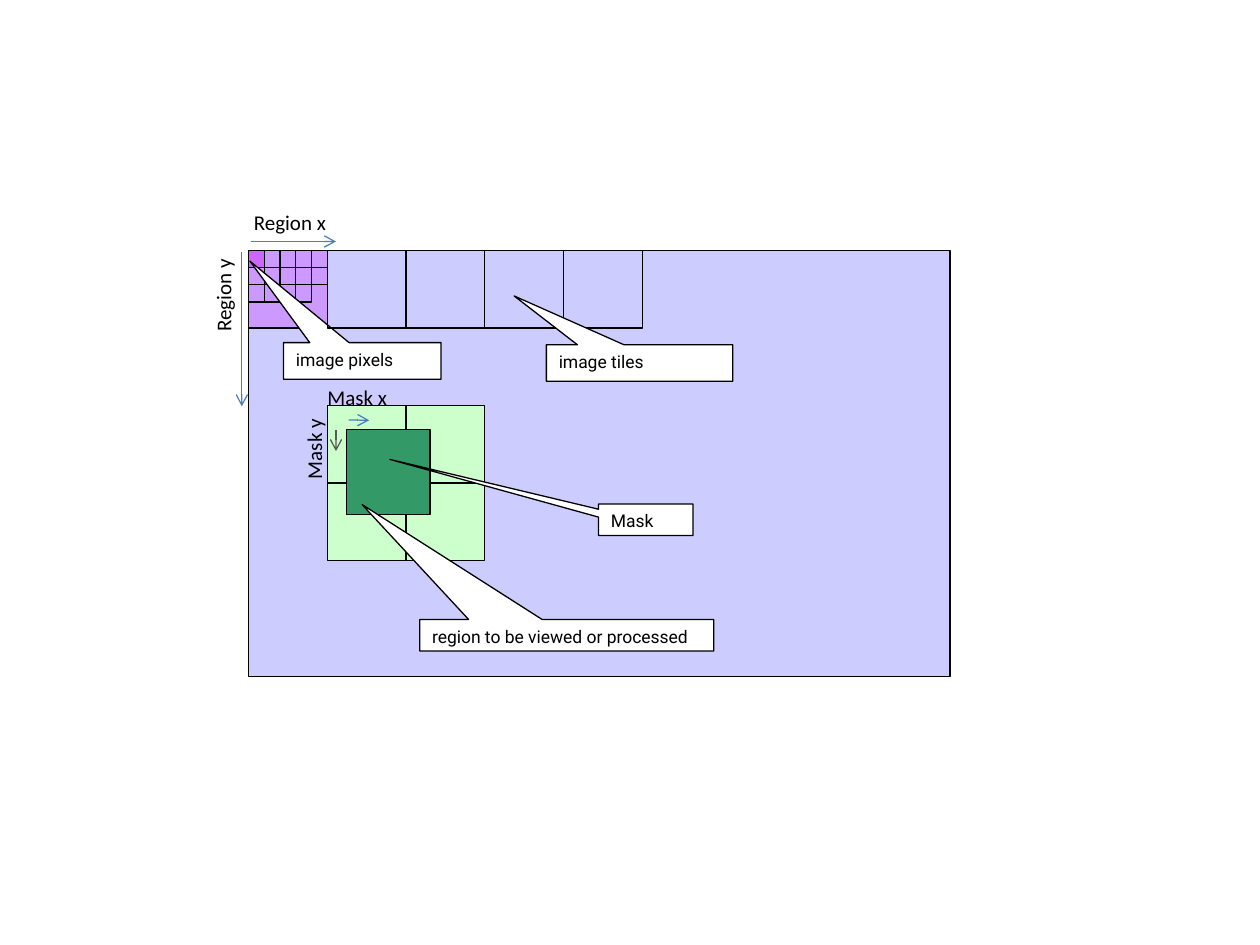
from lxml.etree import SubElement
from pptx import Presentation
from pptx.dml.color import RGBColor
from pptx.enum.shapes import MSO_CONNECTOR as Connector, MSO_SHAPE as Shape
from pptx.enum.text import MSO_ANCHOR as Anchor, MSO_AUTO_SIZE as AutoSize, PP_ALIGN as Align
from pptx.oxml.ns import qn
from pptx.util import Pt

COLORS = {
    "ink": "000000",
    "paper": "FFFFFF",
    "image": "CCCCFF",
    "first_tile": "CC99FF",
    "first_pixel": "CC66FF",
    "region_tile": "CCFFCC",
    "mask": "339966",
    "blue_arrow": "4B7EBC",
    "gray_arrow": "595959",
}
LINE_WIDTH = 0.75

# Image origin and the two grid units, in points
LEFT, TOP = 142, 143.2
TILE_W, TILE_H = 45, 44.2
PIXEL_W, PIXEL_H = 9, 9.8
REGION_TOP = 231.8


def color(name):
    return RGBColor.from_string(COLORS[name])


def add_block(shapes, x, y, width, height, fill=None, kind=Shape.RECTANGLE):
    """Outlined shape, hollow unless a fill is named."""
    block = shapes.add_shape(kind, Pt(x), Pt(y), Pt(width), Pt(height))
    block.shadow.inherit = False
    if fill:
        block.fill.solid()
        block.fill.fore_color.rgb = color(fill)
    else:
        block.fill.background()
    block.line.color.rgb = color("ink")
    block.line.width = Pt(LINE_WIDTH)
    return block


def write(frame, text, font_name, size):
    paragraph = frame.paragraphs[0]
    paragraph.text = text
    paragraph.alignment = Align.LEFT
    paragraph.font.name = font_name
    paragraph.font.size = Pt(size)
    paragraph.font.color.rgb = color("ink")


def add_callout(shapes, text, x, y, width, height, tip):
    """Speech box; tip is its offset from the centre, in box sizes."""
    callout = add_block(shapes, x, y, width, height, "paper",
                        Shape.RECTANGULAR_CALLOUT)
    callout.adjustments[0], callout.adjustments[1] = tip
    callout.text_frame.word_wrap = True
    callout.text_frame.vertical_anchor = Anchor.TOP
    write(callout.text_frame, text, "Roboto", 10)


def add_arrow(shapes, start, end, line_color):
    arrow = shapes.add_connector(Connector.STRAIGHT, *map(Pt, start + end))
    arrow.line.color.rgb = color(line_color)
    arrow.line.width = Pt(LINE_WIDTH)
    properties = arrow.line._get_or_add_ln()
    SubElement(properties, qn("a:tailEnd"), type="arrow")
    SubElement(arrow._element.spPr, qn("a:effectLst"))


def add_axis_label(shapes, text, x, y, width, rotation=0):
    label = shapes.add_textbox(Pt(x), Pt(y), Pt(width), Pt(21.6))
    label.rotation = rotation
    label.text_frame.word_wrap = True
    label.text_frame.auto_size = AutoSize.SHAPE_TO_FIT_TEXT
    write(label.text_frame, text, "Calibri", 12)


def draw_image(shapes):
    add_block(shapes, LEFT, TOP, 401, 243.4, "image")

    # First tile with its pixels; the last row is one pixel short
    add_block(shapes, LEFT, TOP, TILE_W, TILE_H, "first_tile")
    for row, pixel_count in enumerate((5, 5, 4)):
        for column in range(pixel_count):
            fill = "first_pixel" if row == column == 0 else None
            add_block(shapes, LEFT + column * PIXEL_W, TOP + row * PIXEL_H,
                      PIXEL_W, PIXEL_H, fill)
    add_callout(shapes, "image pixels", 162, 195.8, 90, 20.9, (-0.713, -2.729))

    # Remaining tiles of the top row
    for column in range(1, 5):
        add_block(shapes, LEFT + column * TILE_W, TOP, TILE_W, TILE_H)

    # Tiles touched by the region, and the mask over them
    for row in range(2):
        for column in (1, 2):
            add_block(shapes, LEFT + column * TILE_W, REGION_TOP + row * TILE_H,
                      TILE_W, TILE_H, "region_tile")
    add_block(shapes, 198, 245.5, 47.8, 48.6, "mask")

    add_callout(shapes, "region to be viewed or processed",
                239.8, 354, 168, 18, (-0.696, -4.149))
    add_callout(shapes, "image tiles", 312.2, 197, 106.5, 20.9, (-0.673, -1.836))


def draw_axes(shapes):
    add_arrow(shapes, (138.2, 144), (138.2, 232.2), "blue_arrow")
    add_arrow(shapes, (143.2, 138), (192, 138), "blue_arrow")
    add_arrow(shapes, (192, 245.5), (192, 257.8), "gray_arrow")
    add_arrow(shapes, (199.2, 240), (211, 240.2), "blue_arrow")

    add_axis_label(shapes, "Region x", 138, 116, 96)
    add_axis_label(shapes, "Region y", 98, 156.4, 59, 270)
    add_axis_label(shapes, "Mask x", 180, 216, 96)
    add_axis_label(shapes, "Mask y", 149.8, 240.5, 59, 270)


def main():
    presentation = Presentation()
    presentation.slide_width, presentation.slide_height = Pt(720), Pt(540)
    slide = presentation.slides.add_slide(presentation.slide_layouts[6])

    draw_image(slide.shapes.add_group_shape().shapes)
    add_callout(slide.shapes, "Mask", 342, 288, 54, 18, (-2.708, -1.916))
    draw_axes(slide.shapes)

    presentation.save("out.pptx")


if __name__ == "__main__":
    main()
